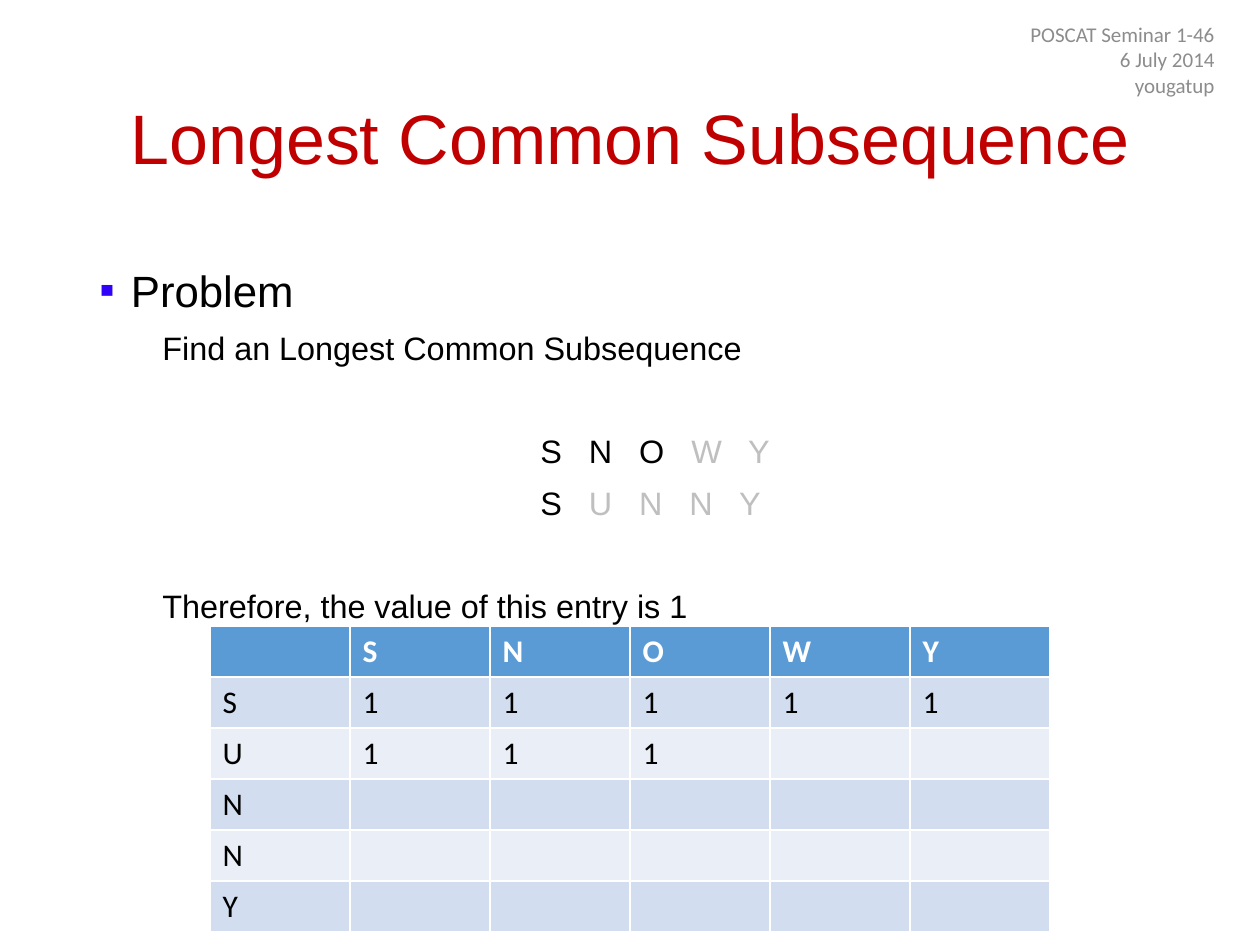
from lxml.etree import SubElement
from pptx import Presentation
from pptx.dml.color import RGBColor
from pptx.enum.text import MSO_ANCHOR as Anchor, PP_ALIGN as Align
from pptx.oxml.ns import qn
from pptx.util import Emu, Pt

BLACK = RGBColor(0x00, 0x00, 0x00)
WHITE = RGBColor(0xFF, 0xFF, 0xFF)
RED = RGBColor(0xC0, 0x00, 0x00)
GRAY = RGBColor(0x8C, 0x8C, 0x8C)
FADED = RGBColor(0xBF, 0xBF, 0xBF)
BULLET_BLUE = RGBColor(0x31, 0x02, 0xF8)
HEADER_BLUE = RGBColor(0x5B, 0x9B, 0xD5)
BANDS = RGBColor(0xD2, 0xDE, 0xEF), RGBColor(0xEA, 0xEF, 0xF7)

TITLE = "Longest Common Subsequence"
SEMINAR = ["POSCAT Seminar 1-46", "6 July 2014", "yougatup"]
HEADING = "Problem"
# text runs, left indent in px, space before in pt, letter spacing in pt
DETAILS = [
    ([("Find an Longest Common Subsequence", BLACK)], 63, 5, 0),
    ([("S N O ", BLACK), ("W Y", FADED)], 441, 34.4, 5.14),
    ([("S ", BLACK), ("U N N Y", FADED)], 441, 5, 5.14),
    ([("Therefore, the value of this entry is 1", BLACK)], 63, 34.4, 0),
]
COLUMN_WORD = "SNOWY"
ROW_WORD = "SUNNY"
LENGTHS = [[1, 1, 1, 1, 1], [1, 1, 1], [], [], []]
COLUMN_WIDTH, ROW_HEIGHT = 140, 51


def px(count):
    return Emu(round(count * 914400 / 126))


def add_frame(slide, left, top, width, height, anchor):
    frame = slide.shapes.add_textbox(px(left), px(top), px(width), px(height)).text_frame
    frame.word_wrap = True
    frame.vertical_anchor = anchor
    return frame


def style(run, size, color, face="Arial", bold=False):
    run.font.size = Pt(size)
    run.font.name = face
    run.font.color.rgb = color
    run.font.bold = bold


def indent(paragraph, left, first):
    properties = paragraph._p.get_or_add_pPr()
    properties.set("marL", str(px(left)))
    properties.set("indent", str(px(first)))
    return properties


def add_headers(slide):
    title = add_frame(slide, 87, 50, 1086, 183, Anchor.MIDDLE)
    title.text = TITLE
    title.paragraphs[0].alignment = Align.CENTER
    title.paragraphs[0].line_spacing = 0.9
    style(title.paragraphs[0].runs[0], 40, RED)

    seminar = add_frame(slide, 944, 25, 283, 69, Anchor.MIDDLE)
    seminar.text = "\n".join(SEMINAR)
    for line in seminar.paragraphs:
        line.alignment = Align.RIGHT
        style(line.runs[0], 12, GRAY, "Calibri")


def add_body(slide):
    body = add_frame(slide, 87, 252, 1086, 600, Anchor.TOP)
    heading = body.paragraphs[0]
    heading.text = HEADING
    heading.line_spacing = 1.1
    heading.space_before = Pt(10)
    style(heading.runs[0], 25, BLACK)
    properties = indent(heading, 31.5, -31.5)
    SubElement(SubElement(properties, qn("a:buClr")), qn("a:srgbClr"), val=str(BULLET_BLUE))
    SubElement(properties, qn("a:buFont"), typeface="Arial")
    SubElement(properties, qn("a:buChar"), char="▪")

    for parts, left, before, tracking in DETAILS:
        line = body.add_paragraph()
        line.level = 1
        line.line_spacing = 1.1
        line.space_before = Pt(before)
        indent(line, left, 0)
        for text, color in parts:
            run = line.add_run()
            run.text = text
            style(run, 18.5, color)
            if tracking:
                run._r.get_or_add_rPr().set("spc", str(round(tracking * 100)))


def add_lengths(slide):
    rows = [["", *COLUMN_WORD]]
    rows += [[letter, *values] for letter, values in zip(ROW_WORD, LENGTHS)]
    column_count = len(rows[0])
    grid = slide.shapes.add_table(
        len(rows), column_count, px(210), px(626),
        px(column_count * COLUMN_WIDTH), px(len(rows) * ROW_HEIGHT)).table
    for column in grid.columns:
        column.width = px(COLUMN_WIDTH)
    for r, values in enumerate(rows):
        grid.rows[r].height = px(ROW_HEIGHT)
        for c in range(column_count):
            cell = grid.cell(r, c)
            cell.fill.solid()
            cell.fill.fore_color.rgb = BANDS[(r - 1) % 2] if r else HEADER_BLUE
            if c < len(values) and values[c] != "":
                cell.text_frame.text = str(values[c])
                style(cell.text_frame.paragraphs[0].runs[0], 18,
                      BLACK if r else WHITE, "Calibri", r == 0)


def main():
    """Build the longest common subsequence slide."""
    deck = Presentation()
    deck.slide_width, deck.slide_height = px(1260), px(945)
    slide = deck.slides.add_slide(deck.slide_layouts[6])
    add_headers(slide)
    add_body(slide)
    add_lengths(slide)
    deck.save("out.pptx")


if __name__ == "__main__":
    main()
